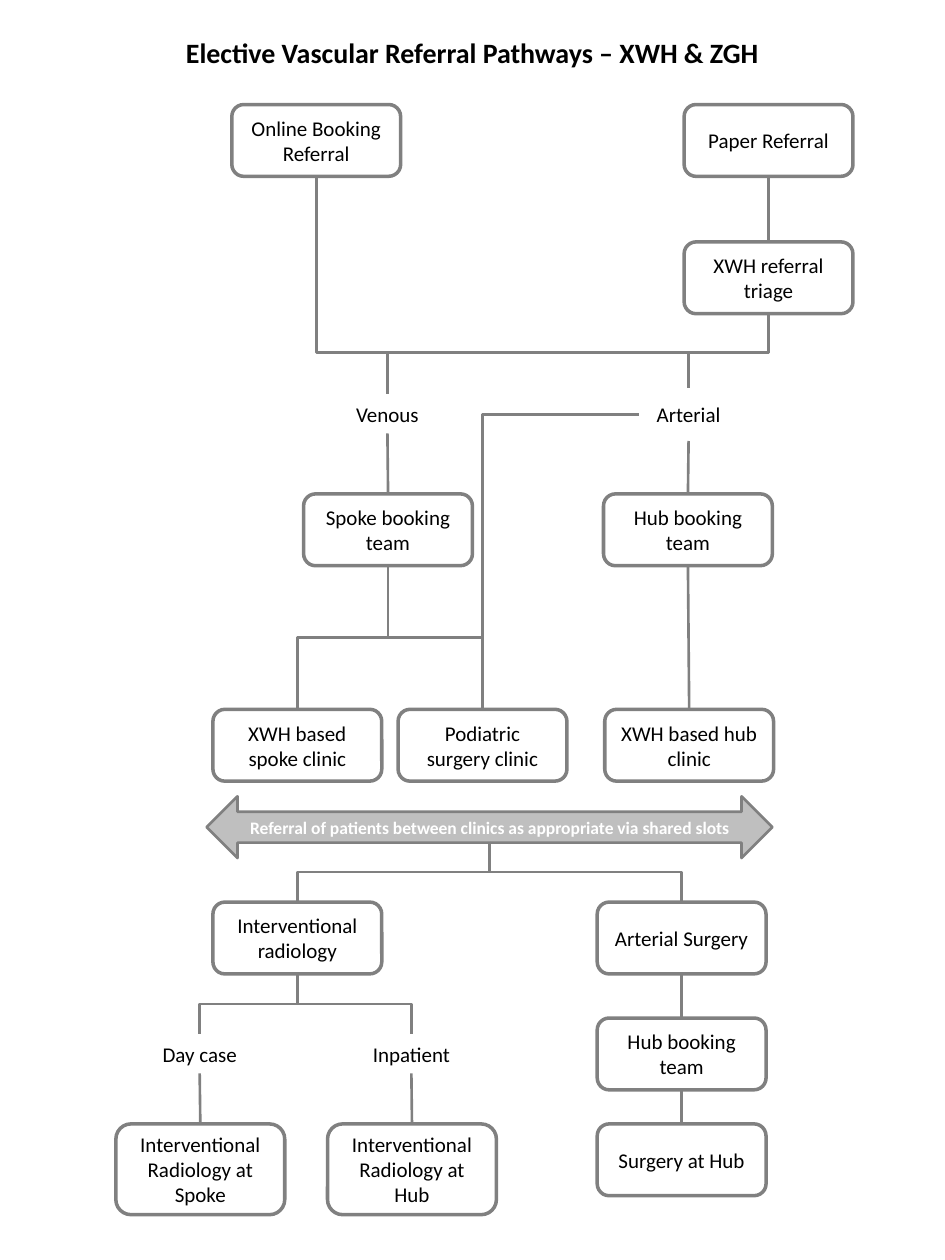
from lxml.etree import SubElement
from pptx import Presentation
from pptx.dml.color import RGBColor
from pptx.enum.shapes import MSO_CONNECTOR, MSO_SHAPE
from pptx.enum.text import MSO_ANCHOR, PP_ALIGN
from pptx.oxml.ns import qn
from pptx.util import Inches, Pt

GREY = "808080"
BLACK = "000000"
BOX_WIDTH = 1.34
BOX_HEIGHT = 0.57
TOP, LEFT, BOTTOM = 0, 1, 2


def color(value):
    return RGBColor.from_string(value)


def style_line(line, width):
    line.color.rgb = color(GREY)
    line.width = Pt(width)


def write(shape, text, size=12, ink=BLACK, bold=False):
    frame = shape.text_frame
    frame.text = text
    frame.word_wrap = True
    frame.vertical_anchor = MSO_ANCHOR.MIDDLE
    paragraph = frame.paragraphs[0]
    paragraph.alignment = PP_ALIGN.CENTER
    font = paragraph.runs[0].font
    font.name = "Calibri"
    font.size = Pt(size)
    font.bold = bold
    font.color.rgb = color(ink)


def add_step(slide, text, left, top, height=BOX_HEIGHT):
    step = slide.shapes.add_shape(
        MSO_SHAPE.ROUNDED_RECTANGLE,
        Inches(left), Inches(top), Inches(BOX_WIDTH), Inches(height))
    step.shadow.inherit = False
    step.fill.background()
    style_line(step.line, 2)
    write(step, text)
    return step


def add_label(slide, text, left, top, width, height=0.31, size=12, bold=False):
    label = slide.shapes.add_textbox(
        Inches(left), Inches(top), Inches(width), Inches(height))
    write(label, text, size, bold=bold)
    return label


def add_shared_slots(slide):
    arrow = slide.shapes.add_shape(
        MSO_SHAPE.LEFT_RIGHT_ARROW,
        Inches(1.64), Inches(6.32), Inches(4.49), Inches(0.49))
    arrow.shadow.inherit = False
    arrow.fill.solid()
    arrow.fill.fore_color.rgb = color("BFBFBF")
    style_line(arrow.line, 1.5)
    write(arrow, "Referral of patients between clinics as appropriate via shared slots",
          10, "FFFFFF", True)
    return arrow


def add_line(slide, kind, start, end):
    line = slide.shapes.add_connector(kind, *start, *end)
    style_line(line.line, 1.5)
    SubElement(line._element.spPr, qn("a:effectLst"))
    return line


def bend_downwards(line, start, end, turn):
    (x1, y1), (x2, y2) = start, end
    across, down = abs(x2 - x1), y2 - y1
    line.left = (x1 + x2 - down) // 2
    line.top = (y1 + y2 - across) // 2
    line.width, line.height = down, across
    properties = line._element.spPr
    frame = properties.find(qn("a:xfrm"))
    for flip in ("flipH", "flipV"):
        frame.attrib.pop(flip, None)
    frame.set("rot", str((270 if x2 > x1 else 90) * 60000))
    if x2 > x1:
        frame.set("flipH", "1")
    if turn:
        guides = properties.find(qn("a:prstGeom")).find(qn("a:avLst"))
        share = round((Inches(turn) - y1) / down * 100000)
        SubElement(guides, qn("a:gd"), name="adj1", fmla=f"val {share}")


def link_down(slide, upper, lower, turn=None, start_y=None):
    start = (upper.left + upper.width // 2,
             Inches(start_y) if start_y else upper.top + upper.height)
    end = (lower.left + lower.width // 2, lower.top)
    straight = abs(end[0] - start[0]) < Inches(0.02)
    kind = MSO_CONNECTOR.STRAIGHT if straight else MSO_CONNECTOR.ELBOW
    line = add_line(slide, kind, start, end)
    if not start_y:
        line.begin_connect(upper, BOTTOM)
    line.end_connect(lower, TOP)
    if not straight:
        bend_downwards(line, start, end, turn)


def link_left_then_down(slide, origin, target):
    start = (origin.left, origin.top + origin.height // 2)
    end = (target.left + target.width // 2, target.top)
    line = add_line(slide, MSO_CONNECTOR.ELBOW, start, end)
    line.begin_connect(origin, LEFT)
    line.end_connect(target, TOP)
    line._element.spPr.find(qn("a:prstGeom")).set("prst", "bentConnector2")


def main():
    deck = Presentation()
    deck.slide_width, deck.slide_height = Inches(7.5), Inches(10)
    slide = deck.slides.add_slide(deck.slide_layouts[6])

    add_label(slide, "Elective Vascular Referral Pathways – XWH & ZGH",
              0, 0.23, 7.5, 0.37, 16, True)

    online = add_step(slide, "Online Booking Referral", 1.84, 0.83)
    paper = add_step(slide, "Paper Referral", 5.43, 0.83)
    triage = add_step(slide, "XWH referral triage", 5.43, 1.92)
    venous = add_label(slide, "Venous", 2.68, 3.13, 0.79)
    arterial = add_label(slide, "Arterial", 5.07, 3.08, 0.79, 0.42)
    spoke_booking = add_step(slide, "Spoke booking team", 2.41, 3.92)
    hub_booking = add_step(slide, "Hub booking team", 4.79, 3.92)
    spoke_clinic = add_step(slide, "XWH based spoke clinic", 1.69, 5.63)
    podiatric_clinic = add_step(slide, "Podiatric surgery clinic", 3.16, 5.63)
    hub_clinic = add_step(slide, "XWH based hub clinic", 4.8, 5.63)
    shared_slots = add_shared_slots(slide)
    radiology = add_step(slide, "Interventional radiology", 1.69, 7.16)
    surgery = add_step(slide, "Arterial Surgery", 4.74, 7.16)
    day_case = add_label(slide, "Day case", 1.06, 8.21, 1.05)
    inpatient = add_label(slide, "Inpatient", 2.79, 8.21, 0.95)
    surgery_booking = add_step(slide, "Hub booking team", 4.74, 8.08)
    radiology_spoke = add_step(slide, "Interventional Radiology at Spoke", 0.92, 8.92, 0.72)
    radiology_hub = add_step(slide, "Interventional Radiology at Hub", 2.6, 8.92, 0.72)
    surgery_hub = add_step(slide, "Surgery at Hub", 4.74, 8.92)

    for upper, lower in (
        (paper, triage),
        (venous, spoke_booking),
        (arterial, hub_booking),
        (spoke_booking, spoke_clinic),
        (spoke_booking, podiatric_clinic),
        (hub_booking, hub_clinic),
        (radiology, day_case),
        (radiology, inpatient),
        (day_case, radiology_spoke),
        (inpatient, radiology_hub),
        (surgery, surgery_booking),
        (surgery_booking, surgery_hub),
    ):
        link_down(slide, upper, lower)
    for upper, lower in ((online, venous), (triage, venous), (triage, arterial)):
        link_down(slide, upper, lower, turn=2.8)
    for lower in (radiology, surgery):
        link_down(slide, shared_slots, lower, start_y=6.68)
    link_left_then_down(slide, arterial, podiatric_clinic)

    deck.save("out.pptx")


main()
